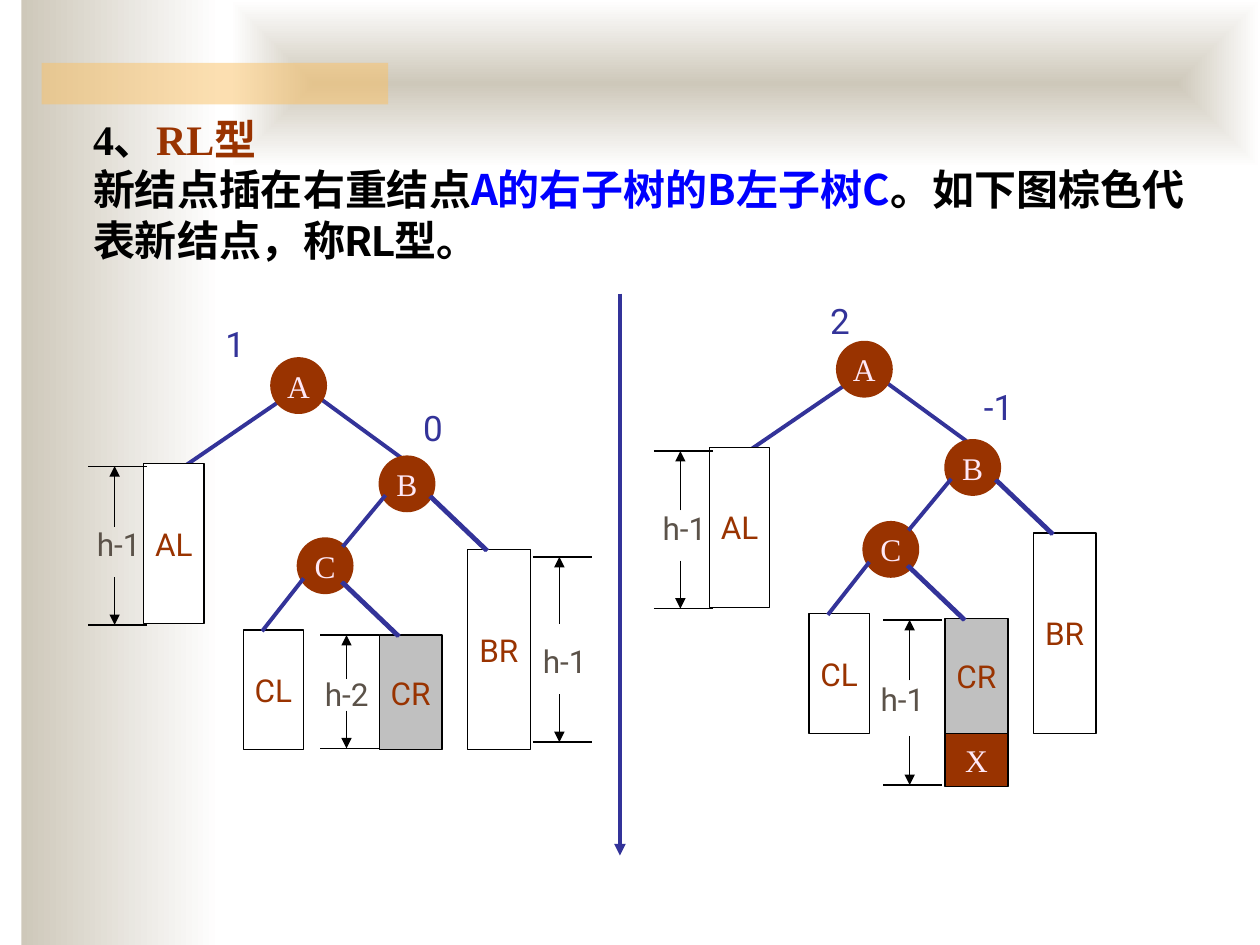
"""Build the slide on the RL case of balanced tree insertion."""
from lxml import etree
from pptx import Presentation
from pptx.dml.color import RGBColor
from pptx.enum import shapes, text
from pptx.oxml import ns
from pptx.util import Inches, Pt

BLACK = RGBColor(0x00, 0x00, 0x00)
WHITE = RGBColor(0xFF, 0xFF, 0xFF)
BROWN = RGBColor(0x99, 0x33, 0x00)
BLUE = RGBColor(0x00, 0x00, 0xFF)
INDIGO = RGBColor(0x33, 0x33, 0x99)
PINK = RGBColor(0xFE, 0xE8, 0xF7)
GREY = RGBColor(0xC0, 0xC0, 0xC0)
TAUPE = RGBColor(0x5B, 0x52, 0x49)
SAND = RGBColor(0xCE, 0xC8, 0xBA)
ORANGE = RGBColor(0xFA, 0xC1, 0x64)
SERIF, SANS, CJK = "Times New Roman", "Roboto", "Noto Sans CJK SC"
RECTANGLE, OVAL = shapes.MSO_SHAPE.RECTANGLE, shapes.MSO_SHAPE.OVAL

presentation = Presentation()
presentation.slide_width, presentation.slide_height = Inches(10), Inches(7.5)
slide = presentation.slides.add_slide(presentation.slide_layouts[6])


def add_item(kind, box, label="", font=SANS, size=18, color=BROWN, fill=None, line=None, width=0.75):
    """Add a shape, or a text box when kind is None, with an optional label."""
    lengths = [Inches(value) for value in box]
    if kind is None:
        shape = slide.shapes.add_textbox(*lengths)
        shape.text_frame.word_wrap = True
    else:
        shape = slide.shapes.add_shape(kind, *lengths)
        shape.shadow.inherit = False
        shape.text_frame.word_wrap = False
        shape.text_frame.vertical_anchor = text.MSO_ANCHOR.MIDDLE
        shape.text_frame.paragraphs[0].alignment = text.PP_ALIGN.CENTER
        for paint, paint_color in ((shape.fill, fill), (shape.line.fill, line)):
            if paint_color is None:
                paint.background()
            else:
                paint.solid()
                paint.fore_color.rgb = paint_color
        if line is not None:
            shape.line.width = Pt(width)
    if label:
        run = shape.text_frame.paragraphs[0].add_run()
        run.text = label
        run.font.name, run.font.size = font, Pt(size)
        run.font.color.rgb = color
    return shape


def add_line(start_x, start_y, end_x, end_y, color=BLACK, width=0.75, arrow=False):
    """Add a straight line, optionally with an arrowhead at its end."""
    points = [Inches(value) for value in (start_x, start_y, end_x, end_y)]
    connector = slide.shapes.add_connector(shapes.MSO_CONNECTOR.STRAIGHT, *points)
    connector.line.color.rgb = color
    connector.line.width = Pt(width)
    if arrow:
        etree.SubElement(connector.line._get_or_add_ln(), ns.qn("a:tailEnd"), type="triangle")
    etree.SubElement(connector._element.spPr, ns.qn("a:effectLst"))


for band_box in ((0.17, 0, 1.58, 7.5), (1.83, 0, 8.17, 1.33)):
    band = add_item(RECTANGLE, band_box)
    band.fill.gradient()
    band.fill.gradient_angle = 0
    for stop, stop_color in zip(band.fill.gradient_stops, (SAND, WHITE)):
        stop.color.rgb = stop_color
linear = band._element.spPr.find(".//" + ns.qn("a:lin"))
gradient = linear.getparent()
gradient.remove(linear)
focus = etree.SubElement(gradient, ns.qn("a:path"), {"path": "shape"})
etree.SubElement(focus, ns.qn("a:fillToRect"), dict.fromkeys("ltrb", "50000"))

bar = add_item(RECTANGLE, (0.33, 0.5, 2.75, 0.33), fill=ORANGE)
bar_color = bar._element.spPr.find(".//" + ns.qn("a:srgbClr"))
etree.SubElement(bar_color, ns.qn("a:alpha"), val="50000")

heading = add_item(None, (0.64, 0.85, 8.9, 1.31))
paragraph = heading.text_frame.paragraphs[0]
for words, font, color in (
    ("4、", SERIF, BLACK),
    ("RL", SERIF, BROWN),
    ("型", SANS, BROWN),
    (None, None, None),
    ("新结点插在右重结点", SANS, BLACK),
    ("A的右子树的B左子树C", CJK, BLUE),
    ("。", CJK, BLACK),
    ("如下图棕色代表新结点，称RL型。", SANS, BLACK),
):
    if words is None:
        paragraph.add_line_break()
        continue
    run = paragraph.add_run()
    run.text = words
    run.font.name, run.font.size, run.font.bold = font, Pt(24), True
    run.font.color.rgb = color
    etree.SubElement(run._r.get_or_add_rPr(), ns.qn("a:ea"), typeface=CJK)

add_line(4.92, 2.33, 4.92, 6.79, INDIGO, 2.25, arrow=True)

root_edges = ((2.24, 3.17, 1.45, 3.71), (2.55, 3.17, 3.18, 3.63))
subtrees = (
    ("AL", 1.14, 3.68, 0.48, 1.27, WHITE),
    ("BR", 3.71, 4.36, 0.5, 1.59, None),
    ("CL", 1.93, 5, 0.48, 0.95, None),
    ("CR", 3.01, 5.04, 0.5, 0.91, GREY),
)
nodes = (("A", 2.16, 2.85), ("B", 3.02, 3.63), ("C", 2.37, 4.28))
left_edges = ((3.06, 3.93, 2.72, 4.34), (2.41, 4.59, 2.08, 5.01))
right_edges = ((3.41, 3.94, 3.86, 4.37), (2.71, 4.62, 3.16, 5.05))
doubled_edges = [(x1 + shift, y1, x2 + shift, y2)
                 for x1, y1, x2, y2 in right_edges for shift in (0, 0.01)]

for dx, dy in ((0, 0), (4.49, -0.13)):
    for x1, y1, x2, y2 in root_edges:
        add_line(x1 + dx, y1 + dy, x2 + dx, y2 + dy, INDIGO, 2.25)
    for name, left, top, width, height, fill in subtrees:
        add_item(RECTANGLE, (left + dx, top + dy, width, height), name, fill=fill, line=BLACK)
    for name, left, top in nodes:
        add_item(OVAL, (left + dx, top + dy, 0.42, 0.42), name, SERIF, 18, PINK, BROWN, BROWN, 2.25)
    for x1, y1, x2, y2 in (*left_edges, *doubled_edges):
        add_line(x1 + dx, y1 + dy, x2 + dx, y2 + dy, INDIGO, 2.25)

add_item(RECTANGLE, (7.5, 5.82, 0.5, 0.42), "X", SERIF, 18, PINK, BROWN, BLACK)

for label, left, top, bottom, gap_top, gap_bottom, label_left, label_top in (
    ("h-1", 0.7, 3.7, 4.96, 4.18, 4.58, 0.67, 4.12),
    ("h-1", 5.19, 3.58, 4.83, 4.05, 4.45, 5.16, 3.99),
    ("h-2", 2.54, 5.04, 5.94, 5.39, 5.64, 2.48, 5.31),
    ("h-1", 7.01, 4.92, 6.23, 5.4, 5.84, 6.89, 5.35),
    ("h-1", 4.23, 4.42, 5.89, 4.95, 5.51, 4.21, 5.05),
):
    middle = left + 0.21
    add_line(middle, gap_top, middle, top, arrow=True)
    add_line(middle, gap_bottom, middle, bottom, arrow=True)
    add_item(None, (label_left, label_top, 0.71, 0.4), label, color=TAUPE)
    for level in (top, bottom):
        add_line(left, level, left + 0.47, level)

for factor, left, top in (("1", 1.69, 2.51), ("0", 3.26, 3.18), ("2", 6.49, 2.33), ("-1", 7.71, 3.01)):
    add_item(None, (left, top, 0.55, 0.43), factor, SANS, 20, INDIGO)

presentation.save("out.pptx")
